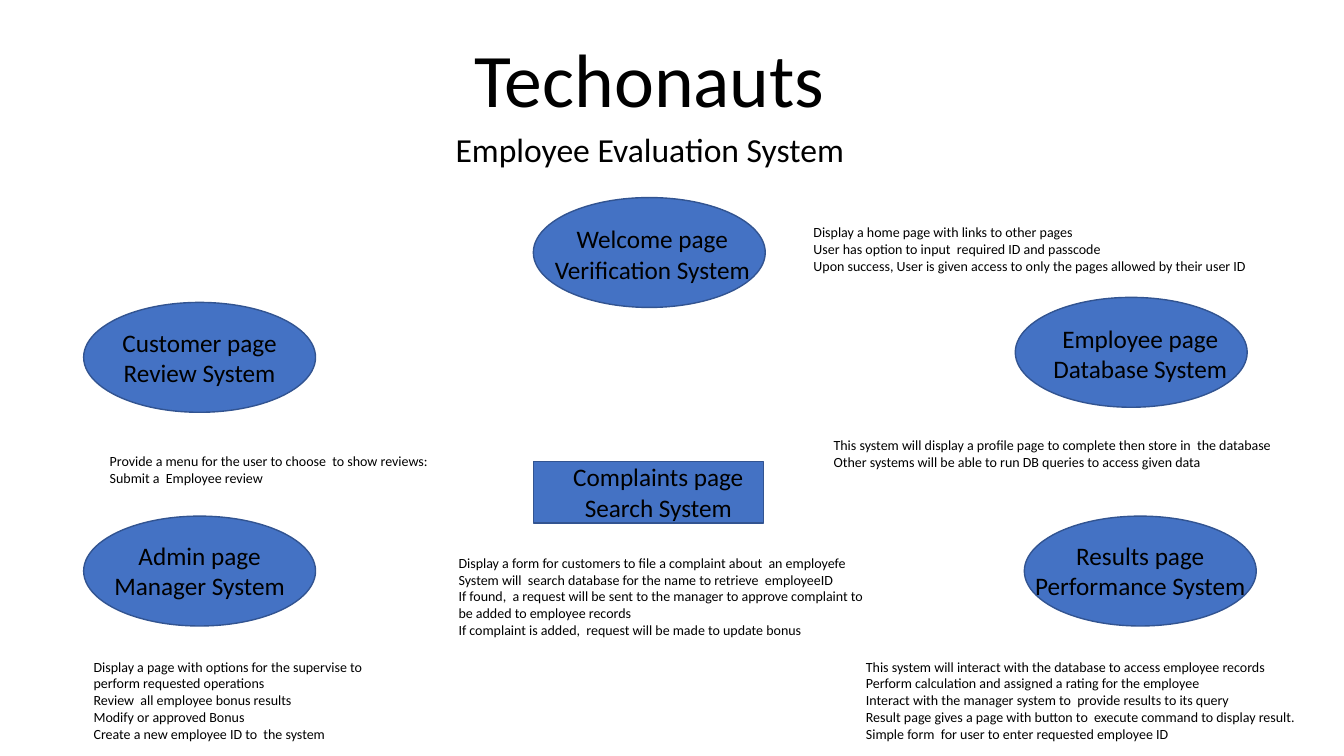
from dataclasses import dataclass

from pptx import Presentation
from pptx.dml.color import RGBColor
from pptx.enum.shapes import MSO_SHAPE
from pptx.enum.text import MSO_ANCHOR, PP_ALIGN
from pptx.util import Inches, Pt


@dataclass(frozen=True)
class Theme:
    """Colours, font and type sizes of the slide."""
    font: str = "Calibri"
    ink: RGBColor = RGBColor(0x00, 0x00, 0x00)
    fill: RGBColor = RGBColor(0x44, 0x72, 0xC4)
    edge: RGBColor = RGBColor(0x32, 0x54, 0x91)
    title: int = 54
    sub: int = 24
    label: int = 18
    note: int = 10


THEME = Theme()
OVAL = MSO_SHAPE.OVAL
NODE = (2.3, 1.09)
LABEL = (2.3, 0.71)

# Preset, node box, label corner, label lines
PAGES = [
    (OVAL, (5.29, 1.96, *NODE), (5.32, 2.17),
     ["Welcome page", "Verification System"]),
    (OVAL, (10.07, 2.95, *NODE), (10.16, 3.16),
     ["Employee page", "Database System"]),
    (OVAL, (0.83, 3, *NODE), (0.83, 3.2),
     ["Customer page", "Review System"]),
    (OVAL, (0.83, 5.12, *NODE), (0.83, 5.31),
     ["Admin page", "Manager System"]),
    (OVAL, (10.16, 5.12, *NODE), (10.16, 5.31),
     ["Results page", "Performance System"]),
    (MSO_SHAPE.RECTANGLE, (5.29, 4.58, 2.28, 0.61), (5.38, 4.53),
     ["Complaints page", "Search System"]),
]

# Note box, note lines
NOTES = [
    ((7.97, 2.17, 5.04, 0.61), [
        "Display a home page with links to other pages",
        "User has option to input  required ID and passcode",
        "Upon success, User is given access to only the pages allowed"
        " by their user ID"]),
    ((8.17, 4.28, 4.84, 0.61), [
        "This system will display a profile page to complete then store in"
        "  the database",
        "Other systems will be able to run DB queries to access given data"]),
    ((0.99, 4.44, 4.23, 0.61), [
        "Provide a menu for the user to choose  to show reviews:",
        "Submit a  Employee review"]),
    ((4.45, 5.45, 4.23, 1.28), [
        "Display a form for customers to file a complaint about  an employefe",
        "System will  search database for the name to retrieve  employeeID",
        "If found,  a request will be sent to the manager to approve"
        " complaint to be added to employee records",
        "If complaint is added,  request will be made to update bonus"]),
    ((0.83, 6.48, 3.22, 0.94), [
        "Display a page with options for the supervise to perform requested"
        " operations",
        "Review  all employee bonus results",
        "Modify or approved Bonus",
        "Create a new employee ID to  the system"]),
    ((8.49, 6.48, 4.84, 1.11), [
        "This system will interact with the database to access employee"
        " records",
        "Perform calculation and assigned a rating for the employee",
        "Interact with the manager system to  provide results to its query",
        "Result page gives a page with button to  execute command to display"
        " result.",
        "Simple form  for user to enter requested employee ID"]),
]


def add_text(slide, box, lines, size, align=PP_ALIGN.LEFT):
    """Add a wrapped text box, one paragraph a line; return its frame."""
    frame = slide.shapes.add_textbox(*map(Inches, box)).text_frame
    frame.word_wrap = True
    for i, line in enumerate(lines):
        para = frame.add_paragraph() if i else frame.paragraphs[0]
        para.alignment = align
        run = para.add_run()
        run.text = line
        run.font.name = THEME.font
        run.font.size = Pt(size)
        run.font.color.rgb = THEME.ink
    return frame


def add_head(slide, box, line, size):
    """Add a centred heading with tight line spacing; return its frame."""
    frame = add_text(slide, box, [line], size, PP_ALIGN.CENTER)
    frame.paragraphs[0].line_spacing = 0.9
    return frame


def add_node(slide, preset, box):
    """Add a filled, outlined shape for one page of the system."""
    node = slide.shapes.add_shape(preset, *map(Inches, box))
    node.shadow.inherit = False
    node.fill.solid()
    node.fill.fore_color.rgb = THEME.fill
    node.line.color.rgb = THEME.edge
    node.line.width = Pt(1)


def main():
    """Build the slide and save it."""
    deck = Presentation()
    deck.slide_width, deck.slide_height = Inches(13.33), Inches(7.5)
    slide = deck.slides.add_slide(deck.slide_layouts[6])

    title = add_head(slide, (1.67, 0.28, 9.55, 1), "Techonauts", THEME.title)
    title.vertical_anchor = MSO_ANCHOR.BOTTOM
    sub = add_head(slide, (1.51, 1.27, 9.87, 0.55),
                   "Employee Evaluation System", THEME.sub)
    sub.paragraphs[0].space_before = Pt(10)

    for preset, box, spot, lines in PAGES:
        add_node(slide, preset, box)
        add_text(slide, (*spot, *LABEL), lines, THEME.label, PP_ALIGN.CENTER)
    for box, lines in NOTES:
        add_text(slide, box, lines, THEME.note)

    deck.save("out.pptx")


main()
